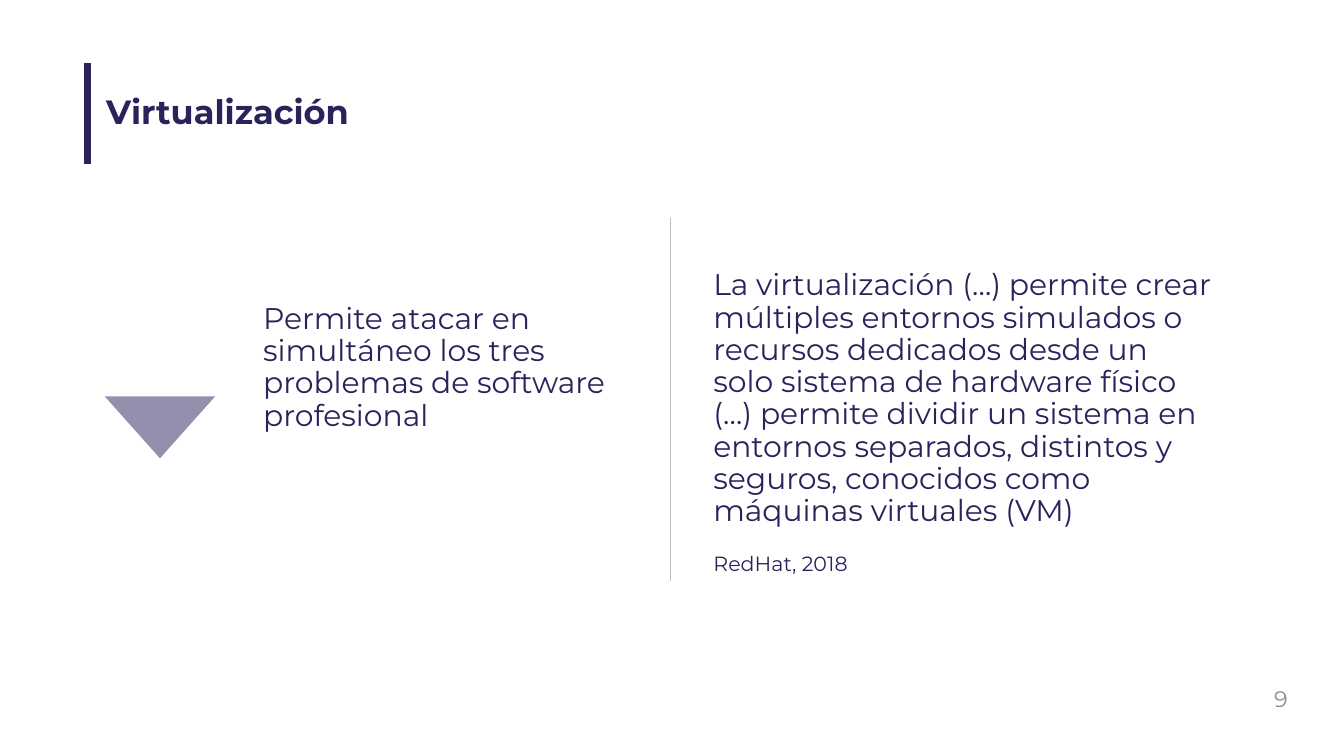
from lxml.etree import SubElement
from pptx import Presentation
from pptx.dml.color import RGBColor
from pptx.enum.shapes import MSO_CONNECTOR as Connector, MSO_SHAPE as Shape
from pptx.enum.text import MSO_ANCHOR as Anchor, MSO_AUTO_SIZE as AutoSize, PP_ALIGN as Align
from pptx.oxml.ns import qn
from pptx.util import Inches, Pt

COLORS = {"navy": "29235C", "rule": "BFBFBF", "number": "8C8C8C"}
FONT = "Montserrat"
BODY = {"size": 16, "line_spacing": 0.9}


def color(name):
    return RGBColor.from_string(COLORS[name])


def place(shape, box):
    for name, value in zip(("left", "top", "width", "height"), box):
        setattr(shape, name, Inches(value))


def write(shape, text, size, ink="navy", bold=False, anchor=Anchor.MIDDLE, **paragraph_format):
    frame = shape.text_frame
    for name, value in {"word_wrap": True, "auto_size": AutoSize.NONE,
                        "vertical_anchor": anchor}.items():
        setattr(frame, name, value)
    frame.text = text
    paragraph = frame.paragraphs[0]
    for name, value in {"alignment": Align.LEFT, **paragraph_format}.items():
        setattr(paragraph, name, value)
    font = paragraph.runs[0].font
    for name, value in {"name": FONT, "size": Pt(size), "bold": bold}.items():
        setattr(font, name, value)
    font.color.rgb = color(ink)


def add_text(slide, box, text, size, **text_format):
    shape = slide.shapes.add_textbox(*map(Inches, box))
    write(shape, text, size, **text_format)


def add_vertical_rule(slide, x, top, height, ink, width):
    rule = slide.shapes.add_connector(
        Connector.STRAIGHT, *map(Inches, (x, top, x, top + height)))
    rule.line.color.rgb = color(ink)
    rule.line.width = Pt(width)
    SubElement(rule._element.spPr, qn("a:effectLst"))


def add_heading(slide, box):
    left, top, width, height = box
    title = slide.shapes.title
    place(title, box)
    write(title, "Virtualización", 18, bold=True, line_spacing=0.9)
    # Accent bar, centred on the title's height
    bar_height = 0.75
    add_vertical_rule(slide, left - 0.04, top + (height - bar_height) / 2,
                      bar_height, "navy", 3.75)


def add_key_point(slide, box):
    left, top, width, height = box
    # Downward marker
    marker = slide.shapes.add_shape(
        Shape.ISOSCELES_TRIANGLE, *map(Inches, (left, top + 1.56, 0.82, 0.46)))
    marker.rotation = 180
    marker.shadow.inherit = False
    marker.fill.solid()
    marker.fill.fore_color.rgb = color("navy")
    fill_color = marker._element.spPr.find(qn("a:solidFill"))[0]
    SubElement(fill_color, qn("a:alpha"), val="50000")
    marker.line.fill.background()
    # Statement
    indent = 1.08
    add_text(slide, (left + indent, top, width - indent, height),
             "Permite atacar en simultáneo los tres problemas de software profesional", **BODY)


def add_definition(slide, box):
    left, top, width, height = box
    add_vertical_rule(slide, left - 0.22, top, height, "rule", 0.5)
    add_text(slide, box,
             "La virtualización (…) permite crear múltiples entornos simulados o recursos "
             "dedicados desde un solo sistema de hardware físico (…) permite dividir un "
             "sistema en entornos separados, distintos y seguros, conocidos como "
             "máquinas virtuales (VM)", **BODY)
    # Citation
    add_text(slide, (left, top + 2.43, width - 0.18, 0.29), "RedHat, 2018", 11,
             anchor=Anchor.TOP)


def add_slide_number(slide, box):
    add_text(slide, box, "9", 12, ink="number", alignment=Align.RIGHT)


def main():
    presentation = Presentation()
    # Widescreen, 16:9
    presentation.slide_width = Inches(10)
    presentation.slide_height = Inches(10) * 9 // 16
    slide = presentation.slides.add_slide(presentation.slide_layouts.get_by_name("Title Only"))
    add_heading(slide, (0.69, 0.3, 8.62, 1.09))
    add_key_point(slide, (0.78, 1.39, 4, 2.7))
    add_definition(slide, (5.21, 1.62, 3.93, 2.7))
    add_slide_number(slide, (7.43, 5.05, 2.25, 0.3))
    presentation.save("out.pptx")


if __name__ == "__main__":
    main()
